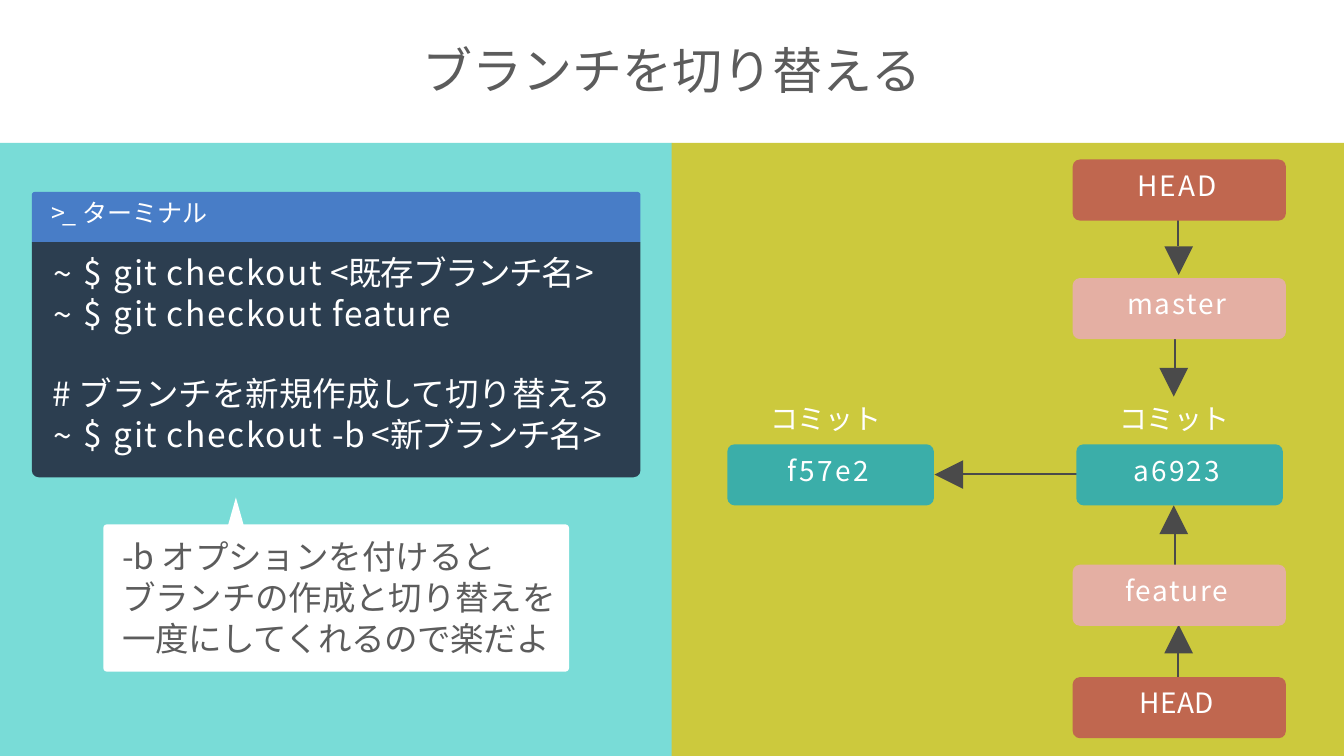
from lxml import etree
from pptx import Presentation
from pptx.dml.color import RGBColor
from pptx.enum.shapes import MSO_CONNECTOR, MSO_SHAPE
from pptx.enum.text import MSO_ANCHOR, MSO_AUTO_SIZE, PP_ALIGN
from pptx.oxml.ns import qn
from pptx.util import Inches, Pt

RECT, ROUNDED = MSO_SHAPE.RECTANGLE, MSO_SHAPE.ROUNDED_RECTANGLE
TOP_ROUNDED, TRIANGLE = MSO_SHAPE.ROUND_2_SAME_RECTANGLE, MSO_SHAPE.ISOSCELES_TRIANGLE
LEFT, CENTER = PP_ALIGN.LEFT, PP_ALIGN.CENTER
TOP, MIDDLE = MSO_ANCHOR.TOP, MSO_ANCHOR.MIDDLE
FONT = "Noto Sans CJK JP"
WHITE, GREY, DARK = "FFFFFF", "5C5C5C", "4A4A4A"
TEAL, PINK, RED = "3BAEA9", "E4AFA3", "C0674F"


def add_block(kind, box, color, adjustments=()):
    s = slide.shapes.add_shape(kind, *map(Inches, box))
    s.shadow.inherit = False
    s.fill.solid()
    s.fill.fore_color.rgb = RGBColor.from_string(color)
    s.line.fill.background()
    for i, value in enumerate(adjustments):
        s.adjustments[i] = value
    return s


def write(s, lines, size, color, align=LEFT, anchor=TOP, insets=(0, 0, 0, 0),
          pitch=None, font=FONT):
    """Fill a shape with lines, each a list of (text, letter spacing in points)."""
    tf = s.text_frame
    frame = {"word_wrap": True, "auto_size": MSO_AUTO_SIZE.NONE, "vertical_anchor": anchor}
    sides = ("margin_left", "margin_top", "margin_right", "margin_bottom")
    frame.update(zip(sides, map(Inches, insets)))
    for name, value in frame.items():
        setattr(tf, name, value)
    for i, line in enumerate(lines):
        p = tf.add_paragraph() if i else tf.paragraphs[0]
        p.alignment = align
        if pitch:
            p.line_spacing = Pt(pitch)
        for text, spacing in line:
            r = p.add_run()
            r.text = text
            r.font.size = Pt(size)
            r.font.name = font
            r.font.color.rgb = RGBColor.from_string(color)
            rPr = r._r.get_or_add_rPr()
            rPr.set("spc", str(round(spacing * 100)))
            etree.SubElement(rPr, qn("a:ea"), typeface=FONT)


prs = Presentation()
prs.slide_width, prs.slide_height = Inches(21.99), Inches(12.37)
slide = prs.slides.add_slide(prs.slide_layouts[5])

title = slide.shapes.title
title.left, title.top, title.width, title.height = map(Inches, (6.86, 0.62, 8.27, 1.02))
write(title, [[("ブランチを切り替える", -0.1)]], 59, GREY, CENTER, MIDDLE,
      font="Times New Roman")

for left, color in ((0, "79DCD7"), (10.99, "CCC93D")):
    add_block(RECT, (left, 2.34, 11, 10.03), color)

# Terminal window
header = add_block(TOP_ROUNDED, (0.52, 3.14, 9.96, 0.82), "3C66C4", (0.06, 0))
etree.SubElement(header.fill._xPr.find(".//" + qn("a:srgbClr")), qn("a:alpha"), val="80000")
write(header, [[(">_", -3.1), (" ターミナル", -0.1)]], 29.5, WHITE,
      anchor=MIDDLE, insets=(0.31, 0, 0, 0.16))

terminal = add_block(TOP_ROUNDED, (0.52, 3.96, 9.96, 3.85), "2C3E50", (0, 0.03))
command = [("$ ", 2.7), ("git ", 1.4), ("checkout", 1.9)]
write(terminal, [
    command + [(" <既存ブランチ名>", -1.6)],
    command + [(" feature", 1.4)],
    [("# ブランチを新規作成して切り替える", -0.1)],
    command + [(" -", 0.9), ("b", 0), (" <新ブランチ名>", -1.8)],
], 39.5, WHITE, insets=(0.31, 0.15, 0, 0), pitch=48.3)
for p in terminal.text_frame.paragraphs:
    if p.text.startswith("#"):
        p.space_before = Pt(46)
        continue
    pPr = p._p.get_or_add_pPr()
    pPr.set("marL", str(Inches(0.5)))
    pPr.set("indent", str(Inches(-0.48)))
    etree.SubElement(pPr, qn("a:buFont"), typeface=FONT)
    etree.SubElement(pPr, qn("a:buChar"), char="~")

# Speech bubble
add_block(TRIANGLE, (3.73, 8.14, 0.26, 0.46), WHITE)
bubble = add_block(ROUNDED, (1.69, 8.58, 7.62, 2.41), WHITE, (0.025,))
write(bubble, [
    [("-b オプションを付けると", -0.1)],
    [("ブランチの作成と切り替えを", -0.2)],
    [("一度にしてくれるので楽だよ", -0.6)],
], 39.5, GREY, insets=(0.29, 0.16, 0, 0), pitch=48.3)

# Branch diagram: stem start, stem end, arrowhead corner, arrowhead rotation
arrows = [
    ((17.65, 7.76), (15.65, 7.76), (15.29, 7.53), 270),
    ((19.22, 5.52), (19.22, 6.14), (18.97, 6.02), 180),
    ((19.22, 9.25), (19.22, 8.63), (18.97, 8.27), 0),
    ((19.27, 11.12), (19.27, 10.69), (19.05, 10.22), 0),
    ((19.27, 3.6), (19.27, 4.03), (19.05, 4.03), 180),
]
for start, end, corner, rotation in arrows:
    stem = slide.shapes.add_connector(MSO_CONNECTOR.STRAIGHT, *map(Inches, start + end))
    stem.line.color.rgb = RGBColor.from_string(DARK)
    stem.line.width = Pt(2.47)
    etree.SubElement(stem._element.spPr, qn("a:effectLst"))
    add_block(TRIANGLE, corner + (0.47, 0.47), DARK).rotation = rotation

nodes = [
    ("HEAD", 17.55, 2.61, 3.49, RED, 2.5),
    ("master", 17.55, 4.55, 3.49, PINK, 1.9),
    ("f57e2", 11.9, 7.27, 3.38, TEAL, 3),
    ("a6923", 17.61, 7.27, 3.38, TEAL, 2.5),
    ("feature", 17.55, 9.24, 3.49, PINK, 2.1),
    ("HEAD", 17.55, 11.08, 3.49, RED, 0.5),
]
for name, left, top, width, color, spacing in nodes:
    node = add_block(ROUNDED, (left, top, width, 1), color, (0.12,))
    write(node, [[(name, spacing)]], 33, WHITE, CENTER, MIDDLE, (0, 0, 0.08, 0.16))
    if color == TEAL:
        label = slide.shapes.add_textbox(*map(Inches, (left, 6.55, width, 0.6)))
        write(label, [[("コミット", -0.5)]], 33, WHITE, CENTER, MIDDLE, (0, 0, 0.16, 0))

prs.save("out.pptx")
